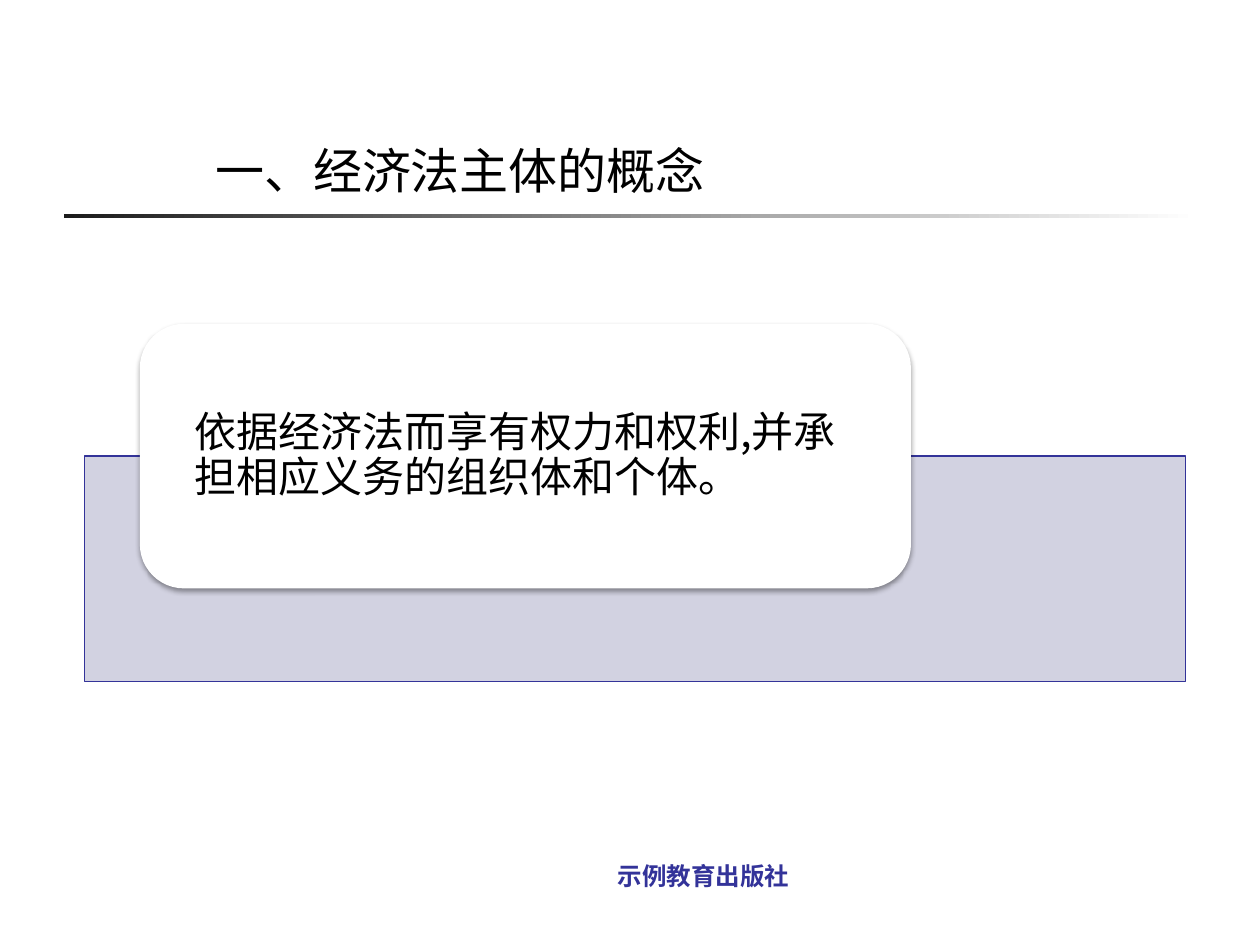
import pptx
import pptx.dml.color
import pptx.enum.shapes
import pptx.enum.text
import pptx.oxml.ns
import pptx.util
from dataclasses import dataclass
from lxml import etree

Inches = pptx.util.Inches
Pt = pptx.util.Pt
Shape = pptx.enum.shapes.MSO_SHAPE
Align = pptx.enum.text.PP_ALIGN
Anchor = pptx.enum.text.MSO_ANCHOR
qn = pptx.oxml.ns.qn


@dataclass(frozen=True)
class Theme:
    ink: str = "000000"
    rule_dark: str = "1C1C1C"
    white: str = "FFFFFF"
    accent: str = "333399"
    band: str = "CECEDE"
    body_font: str = "Noto Sans CJK SC"
    footer_font: str = "Karla"
    title_size: int = 28
    body_size: int = 24
    footer_size: int = 14


def rgb(value):
    return pptx.dml.color.RGBColor.from_string(value)


def write_text(s, text, *, size, color, font, bold=False, align=Align.LEFT,
               anchor=Anchor.TOP, spacing=1.0, insets=(0.1, 0.05, 0.1, 0.05)):
    tf = s.text_frame
    tf.word_wrap = True
    tf.vertical_anchor = anchor
    tf.margin_left, tf.margin_top, tf.margin_right, tf.margin_bottom = map(Inches, insets)
    p = tf.paragraphs[0]
    p.alignment = align
    p.line_spacing = spacing
    r = p.add_run()
    r.text = text
    r.font.size = Pt(size)
    r.font.bold = bold
    r.font.color.rgb = rgb(color)
    r.font.name = font
    # East Asian typeface
    latin = r.font._element.find(qn("a:latin"))
    latin.addnext(latin.makeelement(qn("a:ea"), {"typeface": font}))


class SlideBuilder:
    def __init__(self, slide, theme):
        self.slide = slide
        self.theme = theme

    def shape(self, kind, box):
        s = self.slide.shapes.add_shape(kind, *map(Inches, box))
        s.shadow.inherit = False
        s.line.fill.background()
        return s

    def rule(self, box):
        s = self.shape(Shape.RECTANGLE, box)
        s.fill.gradient()
        s.fill.gradient_angle = 0
        colors = (self.theme.rule_dark, self.theme.white)
        for stop, color, position in zip(s.fill.gradient_stops, colors, (0, 1)):
            stop.color.rgb = rgb(color)
            stop.position = position

    def band(self, box, opacity):
        s = self.shape(Shape.RECTANGLE, box)
        s.fill.solid()
        s.fill.fore_color.rgb = rgb(self.theme.band)
        color = s._element.spPr.find(f"{qn('a:solidFill')}/{qn('a:srgbClr')}")
        etree.SubElement(color, qn("a:alpha"), val=str(opacity * 1000))
        s.line.color.rgb = rgb(self.theme.accent)
        s.line.width = Pt(0.75)

    def card(self, box, text, **style):
        s = self.shape(Shape.ROUNDED_RECTANGLE, box)
        s.fill.solid()
        s.fill.fore_color.rgb = rgb(self.theme.white)
        # Soft shadow below the card
        effects = s._element.spPr.find(qn("a:effectLst"))
        shadow = etree.SubElement(effects, qn("a:outerShdw"), blurRad=str(Pt(3.1)),
                                  dist=str(Pt(1.6)), dir="5400000", rotWithShape="0")
        color = etree.SubElement(shadow, qn("a:srgbClr"), val=self.theme.ink)
        etree.SubElement(color, qn("a:alpha"), val="38000")
        write_text(s, text, **style)

    def text(self, box, text, **style):
        write_text(self.slide.shapes.add_textbox(*map(Inches, box)), text, **style)


def main():
    prs = pptx.Presentation()
    prs.slide_width, prs.slide_height = Inches(10), Inches(7.5)
    theme = Theme()
    b = SlideBuilder(prs.slides.add_slide(prs.slide_layouts[6]), theme)

    # Heading and its rule
    b.rule((0.51, 1.7, 9, 0.03))
    b.text((1.61, 0.97, 5.59, 0.59), "一、经济法主体的概念", size=theme.title_size,
           color=theme.ink, font=theme.body_font, spacing=1.2)

    # Definition card over the band
    b.band((0.67, 3.62, 8.74, 1.79), opacity=90)
    b.card((1.11, 2.57, 6.12, 2.1), "依据经济法而享有权力和权利,并承担相应义务的组织体和个体。",
           size=theme.body_size, color=theme.ink, font=theme.body_font,
           anchor=Anchor.MIDDLE, spacing=0.9, insets=(0.33, 0, 0.33, 0))

    # Footer
    b.text((4, 6.83, 3.17, 0.5), "示例教育出版社", size=theme.footer_size,
           color=theme.accent, font=theme.footer_font, bold=True,
           align=Align.CENTER, insets=(0, 0, 0, 0))

    prs.save("out.pptx")


if __name__ == "__main__":
    main()
